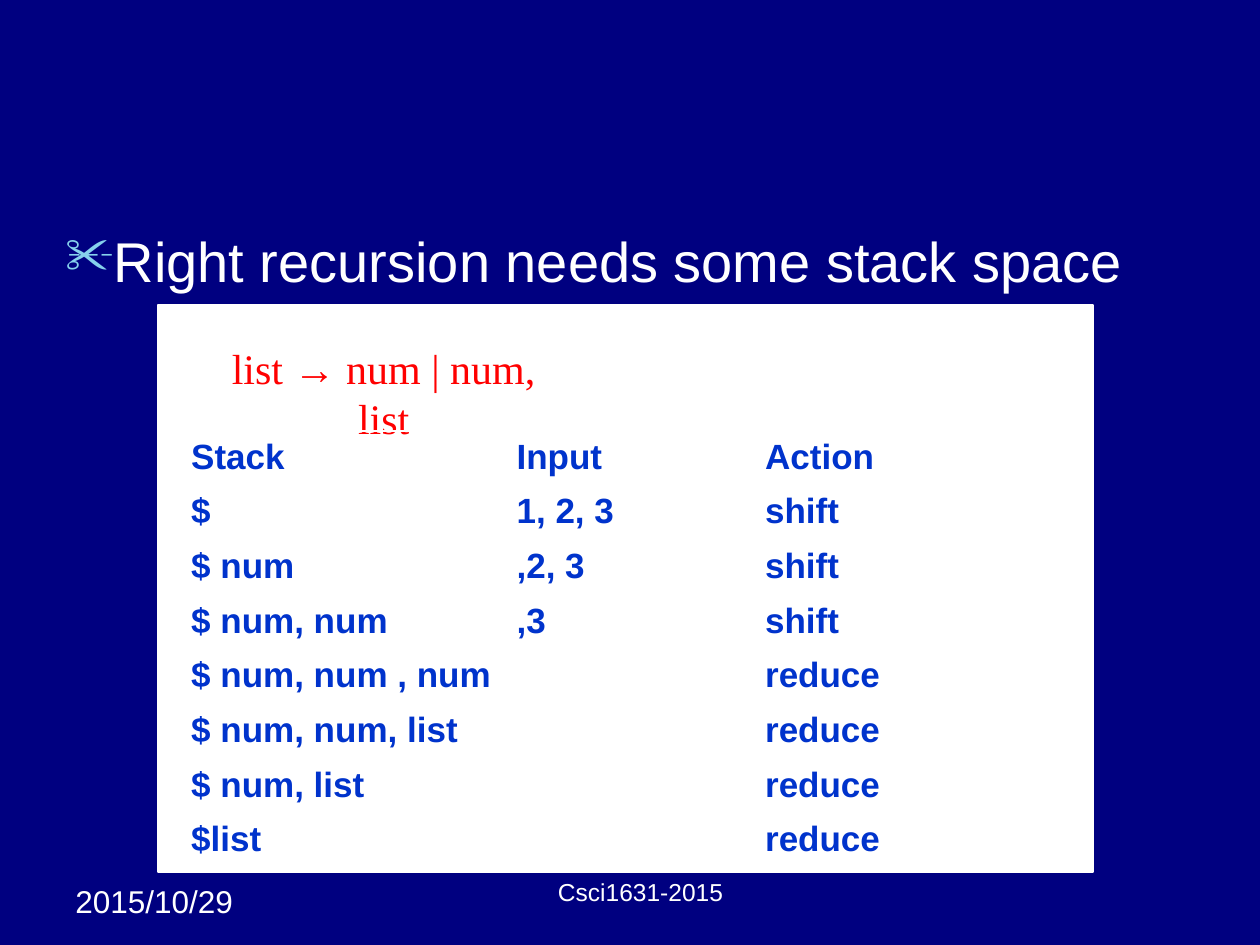
from pptx import Presentation
from pptx.dml.color import RGBColor
from pptx.enum.shapes import MSO_SHAPE as Preset
from pptx.enum.text import MSO_ANCHOR as Anchor, PP_ALIGN as Align
from pptx.oxml.ns import qn
from pptx.util import Cm, Pt
from lxml.etree import SubElement

NAVY, WHITE, RED, BLUE, SKY = "000080", "FFFFFF", "FF0000", "0033CC", "86D1EC"
THIN, THICK = 0.45, 1.08

PARSE_STEPS = [
    ("Stack", "Input", "Action"),
    ("$", "1, 2, 3", "shift"),
    ("$ num", ",2, 3", "shift"),
    ("$ num, num", ",3", "shift"),
    ("$ num, num , num", "", "reduce"),
    ("$ num, num, list", "", "reduce"),
    ("$ num, list", "", "reduce"),
    ("$list", "", "reduce"),
]
COLUMN_WIDTHS = (6.56, 5.01, 5.57)
ROW_HEIGHT = 1.1


def color(code):
    return RGBColor.from_string(code)


def style(run, size, code, face="Arial", bold=False):
    run.font.name, run.font.size, run.font.bold = face, Pt(size), bold
    run.font.color.rgb = color(code)


def add_text(slide, box, text, size, align=Align.LEFT, anchor=Anchor.TOP):
    label = slide.shapes.add_textbox(*map(Cm, box))
    frame = label.text_frame
    frame.word_wrap, frame.vertical_anchor = True, anchor
    frame.text = text
    paragraph = frame.paragraphs[0]
    paragraph.alignment = align
    style(paragraph.runs[0], size, WHITE)
    return paragraph


def add_white_box(slide, box):
    white_box = slide.shapes.add_shape(Preset.RECTANGLE, *map(Cm, box))
    white_box.shadow.inherit = False
    white_box.fill.solid()
    white_box.fill.fore_color.rgb = color(WHITE)
    return white_box


def add_statement(slide, box):
    statement = add_text(slide, box, "Right recursion needs some stack space", 32)
    props = statement._p.get_or_add_pPr()
    props.set("marL", str(Cm(0.95)))
    props.set("indent", str(-Cm(0.95)))
    SubElement(SubElement(props, qn("a:buClr")), qn("a:srgbClr"), val=SKY)
    SubElement(props, qn("a:buSzPct"), val="90000")
    SubElement(props, qn("a:buChar"), char="✂")


def add_grammar_rule(slide, box):
    rule = add_white_box(slide, box)
    rule.line.fill.background()
    frame = rule.text_frame
    frame.word_wrap, frame.vertical_anchor = True, Anchor.TOP
    paragraph = frame.paragraphs[0]
    paragraph.alignment = Align.CENTER
    for text, face in (("list ", "Times New Roman"), ("→", "Arial"),
                       (" num | num, list", "Times New Roman")):
        run = paragraph.add_run()
        run.text = text
        style(run, 24, RED, face)


def set_borders(cell, widths):
    props = cell._tc.get_or_add_tcPr()
    for side, width in zip("LRTB", widths):
        border = SubElement(props, qn(f"a:ln{side}"), w=str(Pt(width)))
        SubElement(SubElement(border, qn("a:solidFill")), qn("a:srgbClr"), val=WHITE)


def add_parse_table(slide, left, top):
    row_count, column_count = len(PARSE_STEPS), len(COLUMN_WIDTHS)
    table = slide.shapes.add_table(
        row_count, column_count, Cm(left), Cm(top),
        Cm(sum(COLUMN_WIDTHS)), Cm(row_count * ROW_HEIGHT)).table
    table.first_row = table.horz_banding = False
    for column, width in zip(table.columns, COLUMN_WIDTHS):
        column.width = Cm(width)
    for r, step in enumerate(PARSE_STEPS):
        table.rows[r].height = Cm(ROW_HEIGHT)
        for c, text in enumerate(step):
            cell = table.cell(r, c)
            # Outer edges are thicker than the inner grid
            outer = (c == 0, c == column_count - 1, r == 0, r == row_count - 1)
            set_borders(cell, [THICK if edge else THIN for edge in outer])
            cell.fill.background()
            if text:
                cell.text_frame.text = text
                style(cell.text_frame.paragraphs[0].runs[0], 20, BLUE, bold=True)


def add_parse_panel(slide, box):
    left, top = box[:2]
    panel = add_white_box(slide, box)
    panel.line.color.rgb = color(WHITE)
    panel.line.width = Pt(1)
    add_grammar_rule(slide, (left + 0.63, top + 0.63, 7.85, 2.29))
    add_parse_table(slide, left + 0.42, top + 2.54)


def add_footer(slide, box):
    left, top, _, height = box
    add_text(slide, (left, top, 4.01, height), "2015/10/29", 18)
    add_text(slide, (left + 7.62, top + 0.05, 8.05, 0.69), "Csci1631-2015", 14,
             Align.CENTER, Anchor.BOTTOM)


def main():
    deck = Presentation()
    deck.slide_width, deck.slide_height = Cm(25.4), Cm(19.05)
    slide = deck.slides.add_slide(deck.slide_layouts[6])
    slide.background.fill.solid()
    slide.background.fill.fore_color.rgb = color(NAVY)

    add_footer(slide, (1.27, 17.65, 15.67, 1.02))
    add_statement(slide, (1.07, 4.45, 23.29, 12.7))
    add_parse_panel(slide, (3.18, 6.15, 18.85, 11.43))
    deck.save("out.pptx")


if __name__ == "__main__":
    main()
